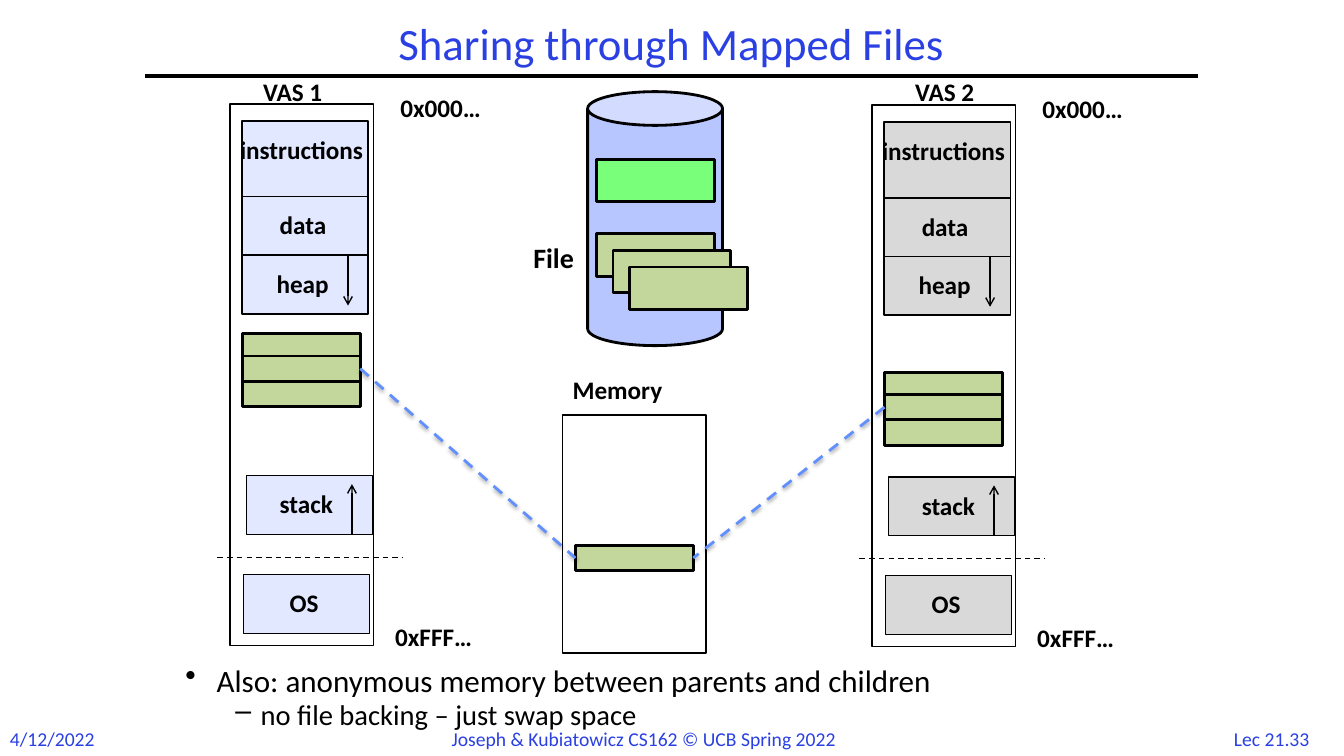
import lxml.etree
import pptx
import pptx.dml.color
import pptx.enum.dml
import pptx.enum.shapes
import pptx.enum.text
import pptx.oxml.ns
import pptx.util

Cm, Pt = pptx.util.Cm, pptx.util.Pt
SHAPE = pptx.enum.shapes.MSO_SHAPE
DASH = pptx.enum.dml.MSO_LINE.DASH
ANCHOR = pptx.enum.text.MSO_ANCHOR
ALIGN = pptx.enum.text.PP_ALIGN
BLACK, BLUE, PAGE = "000000", "2A40E2", "C3D69B"
PAGE_W, PAGE_H = 2.97, 0.64


def color(value):
    """Turn a hex string into a colour."""
    return pptx.dml.color.RGBColor.from_string(value)


def sub(parent, tag, **attrs):
    """Append a drawing element with its attributes."""
    el = lxml.etree.SubElement(parent, pptx.oxml.ns.qn(tag))
    for key, value in attrs.items():
        el.set(key, str(value))
    return el


def format_run(p, text, size, color_hex, bold=False):
    """Add one formatted run to a paragraph."""
    r = p.add_run()
    r.text = text
    r.font.name = "Calibri"
    r.font.size = Pt(size)
    r.font.bold = bold
    r.font.color.rgb = color(color_hex)


def add_text(s, text, x, y, w, h, size=18, color_hex=BLACK, bold=True,
             align=ALIGN.LEFT, anchor=ANCHOR.TOP, wrap=False, spacing=None):
    """Place a single-paragraph text box."""
    tf = s.shapes.add_textbox(Cm(x), Cm(y), Cm(w), Cm(h)).text_frame
    tf.word_wrap = wrap
    tf.vertical_anchor = anchor
    if not wrap:
        tf.auto_size = pptx.enum.text.MSO_AUTO_SIZE.SHAPE_TO_FIT_TEXT
    p = tf.paragraphs[0]
    p.alignment = align
    p.line_spacing = spacing
    format_run(p, text, size, color_hex, bold)


def add_box(s, x, y, w, h, fill=None, width=1, kind=SHAPE.RECTANGLE):
    """Place an outlined shape, filled or hollow."""
    sp = s.shapes.add_shape(kind, Cm(x), Cm(y), Cm(w), Cm(h))
    sp.shadow.inherit = False
    sp.line.color.rgb = color(BLACK)
    sp.line.width = Pt(width)
    if fill:
        sp.fill.solid()
        sp.fill.fore_color.rgb = color(fill)
    else:
        sp.fill.background()
    return sp


def add_line(s, x1, y1, x2, y2, width=1, color_hex=BLACK, dash=False,
             arrow=False, shadow=False):
    """Draw a straight connector."""
    c = s.shapes.add_connector(pptx.enum.shapes.MSO_CONNECTOR.STRAIGHT,
                               Cm(x1), Cm(y1), Cm(x2), Cm(y2))
    c.line.color.rgb = color(color_hex)
    c.line.width = Pt(width)
    if dash:
        c.line.dash_style = DASH
    if arrow:
        sub(c.line._get_or_add_ln(), "a:tailEnd", type="arrow")
    effects = sub(c._element.spPr, "a:effectLst")
    if shadow:
        outer = sub(effects, "a:outerShdw", blurRad=Pt(3.1), dist=Pt(1.6),
                    dir=5400000, rotWithShape=0)
        sub(sub(outer, "a:srgbClr", val=BLACK), "a:alpha", val=38000)
    return c


def draw_address_space(s, x, y, name, name_dx, fill, pages_dy):
    """Draw one virtual address space and return its middle mapped page."""
    add_box(s, x, y, 3.61, 13.64)
    add_text(s, name, x + name_dx, 1.8, 2.31, 1.02)
    add_text(s, "0x000…", x + 4.04, y - 0.43, 2.95, 1.02)
    add_text(s, "0xFFF…", x + 3.91, y + 12.9, 3.05, 1.02)
    segments = [("instructions", 0.3, 0.43, 1.9, 0, 4.19),
                ("data", 0.3, 2.34, 1.48, 1, 1.83),
                ("heap", 0.3, 3.81, 1.48, 0.92, 2.01),
                ("stack", 0.41, 9.37, 1.48, 1, 2.16),
                ("OS", 0.33, 11.86, 1.48, 1.25, 1.45)]
    for label, dx, dy, h, label_dx, label_w in segments:
        add_box(s, x + dx, y + dy, 3.18, h, fill)
        add_text(s, label, x + label_dx, y + dy + 0.2, label_w, 1.02)
    add_line(s, x + 3.07, y + 10.85, x + 3.07, y + 9.58, arrow=True)
    add_line(s, x + 2.97, y + 3.81, x + 2.97, y + 5.08, arrow=True)
    add_line(s, x - 0.32, y + 11.43, x + 4.34, y + 11.43, dash=True)
    pages = [add_box(s, x + 0.31, y + pages_dy + dy, PAGE_W, PAGE_H, PAGE, 2)
             for dy in (0, 0.56, 1.2)]
    return pages[1]


def draw_file(s, x, y):
    """Draw the file cylinder with its blocks."""
    add_box(s, x, y, 3.4, 6.4, "B7C6FE", 2, SHAPE.CAN)
    add_box(s, x + 0.22, y + 1.7, PAGE_W, 1.07, "79FF79", 2)
    for i in range(3):
        add_box(s, x + 0.22 + 0.42 * i, y + 3.58 + 0.42 * i,
                PAGE_W, 1.07, PAGE, 2)
    add_text(s, "File", x - 1.62, y + 3.63, 1.73, 1.12, size=20)


def draw_memory(s, x, y):
    """Draw physical memory and return its shared page."""
    add_box(s, x, y, 3.61, 6)
    add_text(s, "Memory", x, y - 1.14, 2.97, 1.02)
    return add_box(s, x + 0.32, y + 3.28, PAGE_W, PAGE_H, PAGE, 2)


def link_pages(s, page, page_side, shared, shared_side):
    """Join a mapped page to the shared page in memory."""
    c = add_line(s, 0, 0, 1, 1, 2, "618FFD", dash=True, shadow=True)
    c.begin_connect(page, page_side)
    c.end_connect(shared, shared_side)


def draw_notes(s, x, y, w, h):
    """Write the two-level bullet list."""
    tf = s.shapes.add_textbox(Cm(x), Cm(y), Cm(w), Cm(h)).text_frame
    tf.word_wrap = True
    items = [("Also: anonymous memory between parents and children",
              22.2, "•", 0.79, 0.79),
             ("no file backing – just swap space", 20.4, "–", 1.9, 0.64)]
    for i, (text, size, bullet, margin, hang) in enumerate(items):
        p = tf.add_paragraph() if i else tf.paragraphs[0]
        p.level = i
        p.line_spacing = 0.7
        p.space_before = Pt(size * 0.3)
        pPr = p._p.get_or_add_pPr()
        pPr.set("marL", str(Cm(margin)))
        pPr.set("indent", str(-Cm(hang)))
        sub(pPr, "a:buChar", char=bullet)
        format_run(p, text, size, BLACK)


def draw_frame(s):
    """Place the title, its rule and the footer."""
    small = {"size": 14, "color_hex": BLUE, "bold": False}
    add_text(s, "Lec 21.33", 30.68, 18.19, 2.74, 0.85, align=ALIGN.CENTER, **small)
    add_text(s, "4/12/2022", 0, 18.19, 2.72, 0.85, **small)
    add_text(s, "Joseph & Kubiatowicz CS162 © UCB Spring 2022",
             11.13, 18.19, 11.56, 0.85, **small)
    add_line(s, 3.66, 1.91, 30.2, 1.91, 3)
    add_text(s, "Sharing through Mapped Files", 3.66, 0.43, 26.52, 1.47,
             size=32, color_hex=BLUE, bold=False, align=ALIGN.CENTER,
             anchor=ANCHOR.MIDDLE, wrap=True, spacing=0.9)


def main():
    """Build the slide and save it."""
    prs = pptx.Presentation()
    prs.slide_width, prs.slide_height = Cm(33.87), Cm(19.05)
    s = prs.slides.add_slide(prs.slide_layouts[6])
    draw_frame(s)
    draw_notes(s, 4.42, 16.81, 25.22, 1.85)
    draw_file(s, 14.81, 2.31)
    page2 = draw_address_space(s, 21.98, 2.65, "VAS 2", 0.83, "D9D9D9", 6.73)
    page1 = draw_address_space(s, 5.8, 2.62, "VAS 1", 0.58, "E2E8FF", 5.79)
    shared = draw_memory(s, 14.18, 10.46)
    link_pages(s, page1, 3, shared, 1)
    link_pages(s, page2, 1, shared, 3)
    prs.save("out.pptx")


if __name__ == "__main__":
    main()
